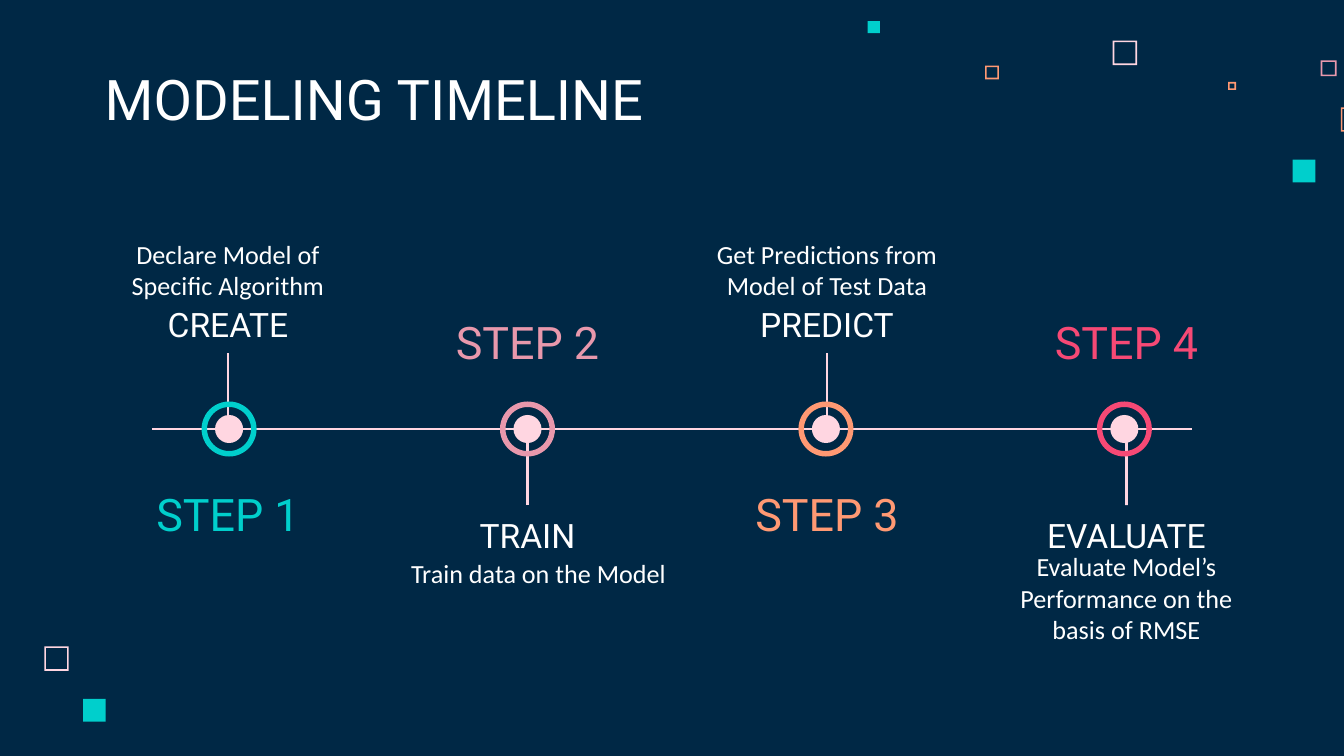
import dataclasses

import lxml.etree
import pptx
import pptx.dml.color
import pptx.enum.shapes
import pptx.enum.text
import pptx.oxml.ns
import pptx.util

Cm = pptx.util.Cm
SHAPE = pptx.enum.shapes.MSO_SHAPE
ANCHOR = pptx.enum.text.MSO_ANCHOR
ALIGN = pptx.enum.text.PP_ALIGN

NAVY, WHITE, BLUSH = "002845", "FFFFFF", "FFD6E1"
TEAL, ROSE, ORANGE, RED = "00CFCC", "E898AC", "FF9973", "F64975"

# Centimetres
FIRST_MARKER, MARKER_PITCH = 4.33, 5.64
FIRST_COLUMN, COLUMN_PITCH = 4.31, 5.66
AXIS_Y = 8.11
LABEL_WIDTH, LABEL_HEIGHT = 5.23, 1.19
STEP_WIDTH = 3.58
DETAIL_HEIGHT = 1.8
OUTLINE = 0.03

# left, top, side, colour
HOLLOW_SQUARES = [
    (21.03, 0.77, 0.46, BLUSH),
    (24.96, 1.14, 0.3, ROSE),
    (23.21, 1.55, 0.15, ORANGE),
    (25.34, 2.03, 0.46, ORANGE),
    (18.62, 1.24, 0.26, ORANGE),
    (0.84, 12.22, 0.46, BLUSH),
]
SOLID_SQUARES = [
    (24.43, 3.02, 0.43, TEAL),
    (16.4, 0.4, 0.23, TEAL),
    (1.57, 13.21, 0.43, TEAL),
]


@dataclasses.dataclass
class Stage:
    label: str
    detail: str
    color: str
    above: bool
    detail_top: float
    detail_width: float = LABEL_WIDTH
    detail_shift: float = 0


STAGES = [
    Stage("CREATE", "Declare Model of Specific Algorithm", TEAL, True, 4.14),
    Stage("TRAIN", "Train data on the Model", ROSE, False, 10.29, 5.54, 0.21),
    Stage("PREDICT", "Get Predictions from Model of Test Data", ORANGE, True, 4.14, 5.87),
    Stage("EVALUATE", "Evaluate Model’s Performance on the basis of RMSE", RED, False, 10.16),
]


def rgb(value):
    return pptx.dml.color.RGBColor.from_string(value)


def add_filled(shapes, kind, left, top, side, color):
    """Add an unlined shape as wide as it is high."""
    shape = shapes.add_shape(kind, Cm(left), Cm(top), Cm(side), Cm(side))
    shape.shadow.inherit = False
    shape.fill.solid()
    shape.fill.fore_color.rgb = rgb(color)
    shape.line.fill.background()
    return shape


def add_text(slide, text, left, top, width, height, size, color=WHITE,
             font="Roboto", anchor=ANCHOR.BOTTOM, align=ALIGN.CENTER):
    box = slide.shapes.add_textbox(Cm(left), Cm(top), Cm(width), Cm(height))
    frame = box.text_frame
    frame.word_wrap = True
    frame.vertical_anchor = anchor
    frame.margin_left = frame.margin_right = Cm(0.25)
    frame.margin_top = frame.margin_bottom = Cm(0.25)
    frame.text = text
    paragraph = frame.paragraphs[0]
    paragraph.alignment = align
    run_font = paragraph.runs[0].font
    run_font.name = font
    run_font.size = pptx.util.Pt(size)
    run_font.color.rgb = rgb(color)
    return box


def add_line(slide, x1, y1, x2, y2):
    line = slide.shapes.add_connector(
        pptx.enum.shapes.MSO_CONNECTOR.STRAIGHT, Cm(x1), Cm(y1), Cm(x2), Cm(y2))
    line.line.color.rgb = rgb(BLUSH)
    line.line.width = pptx.util.Pt(1.5)
    lxml.etree.SubElement(line._element.spPr, pptx.oxml.ns.qn("a:effectLst"))
    return line


def add_decoration(slide):
    for left, top, side, color in HOLLOW_SQUARES:
        square = add_filled(slide.shapes, SHAPE.FRAME, left, top, side, color)
        square.adjustments[0] = OUTLINE / side
    for left, top, side, color in SOLID_SQUARES:
        add_filled(slide.shapes, SHAPE.RECTANGLE, left, top, side, color)


def add_marker(slide, center, color):
    marker = slide.shapes.add_group_shape()
    for kind, side, fill in ((SHAPE.OVAL, 0.53, BLUSH), (SHAPE.DONUT, 1.04, color)):
        part = add_filled(marker.shapes, kind, center - side / 2,
                          AXIS_Y - side / 2, side, fill)
        if kind == SHAPE.DONUT:
            part.adjustments[0] = 0.1


def add_stage(slide, index, stage):
    """Add the texts of one stage and the stem that ties its label to the axis."""
    center = FIRST_COLUMN + index * COLUMN_PITCH
    if stage.above:
        label_top, step_top, stem_end, label_side = 5.49, 9.12, 7.95, 2
        label_anchor, detail_anchor = ANCHOR.TOP, ANCHOR.BOTTOM
    else:
        label_top, step_top, stem_end, label_side = 9.55, 5.87, 8.28, 0
        label_anchor, detail_anchor = ANCHOR.BOTTOM, ANCHOR.TOP

    label = add_text(slide, stage.label, center - LABEL_WIDTH / 2, label_top,
                     LABEL_WIDTH, LABEL_HEIGHT, 18, anchor=label_anchor)
    add_text(slide, stage.detail,
             center + stage.detail_shift - stage.detail_width / 2, stage.detail_top,
             stage.detail_width, DETAIL_HEIGHT, 14, font="Calibri", anchor=detail_anchor)
    add_text(slide, f"STEP {index + 1}", center - STEP_WIDTH / 2, step_top,
             STEP_WIDTH, LABEL_HEIGHT, 24, stage.color, anchor=ANCHOR.MIDDLE)
    stem = add_line(slide, center, label_top, center, stem_end)
    stem.begin_connect(label, label_side)


def main():
    deck = pptx.Presentation()
    deck.slide_width, deck.slide_height = Cm(25.4), Cm(14.29)
    slide = deck.slides.add_slide(deck.slide_layouts[6])
    slide.background.fill.solid()
    slide.background.fill.fore_color.rgb = rgb(NAVY)

    add_decoration(slide)
    add_text(slide, "MODELING TIMELINE", 1.73, 1.14, 13.13, 1.6, 30, align=ALIGN.LEFT)
    for index, stage in enumerate(STAGES):
        add_stage(slide, index, stage)
    add_line(slide, 2.87, AXIS_Y, 22.53, AXIS_Y)
    for index, stage in enumerate(STAGES):
        add_marker(slide, FIRST_MARKER + index * MARKER_PITCH, stage.color)

    deck.save("out.pptx")


if __name__ == "__main__":
    main()
